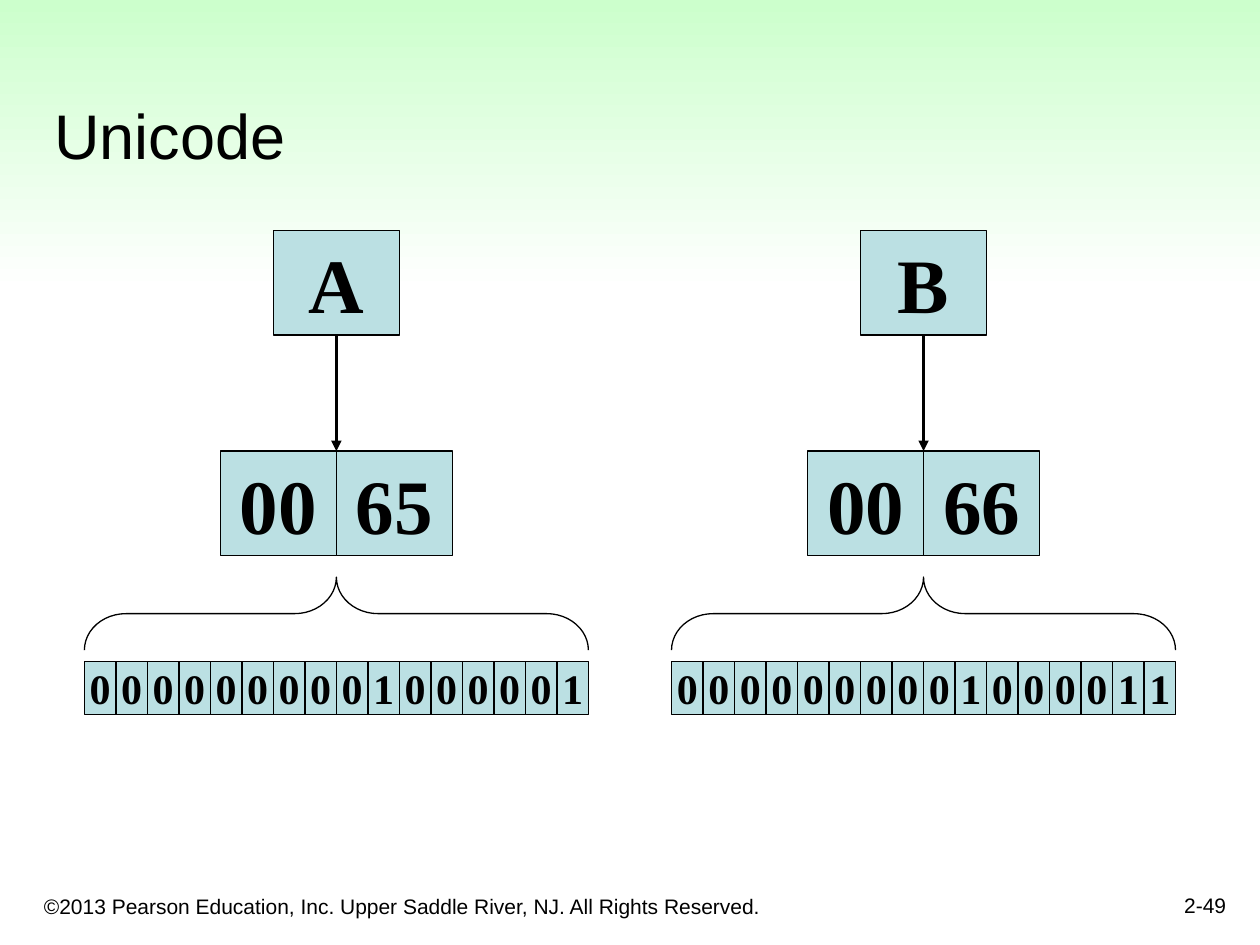
import dataclasses

import pptx
import pptx.dml.color
import pptx.enum.shapes
import pptx.enum.text
import pptx.oxml.ns
import pptx.util
from lxml import etree
from pptx.util import Inches

RGBColor = pptx.dml.color.RGBColor
Shape = pptx.enum.shapes.MSO_SHAPE
Anchor = pptx.enum.text.MSO_ANCHOR
Align = pptx.enum.text.PP_ALIGN

BLACK = RGBColor(0x00, 0x00, 0x00)
WHITE = RGBColor(0xFF, 0xFF, 0xFF)
PALE_GREEN = RGBColor(0xCC, 0xFF, 0xCC)
PALE_TEAL = RGBColor(0xBB, 0xE0, 0xE3)

CELL_HEIGHT = 0.83
LETTER_TOP, LETTER_WIDTH = 1.83, 1
BYTE_TOP, BYTE_WIDTH = 3.58, 0.92
BIT_TOP, BIT_WIDTH, BIT_HEIGHT = 5.25, 0.25, 0.42
BRACE_MIDDLE, BRACE_DEPTH = 4.87, 0.58


@dataclasses.dataclass
class Encoding:
    letter: str
    code_bytes: list[str]
    bits: str
    center: float


ENCODINGS = [
    Encoding("A", ["00", "65"], "0000000001000001", 2.67),
    Encoding("B", ["00", "66"], "0000000001000011", 7.33),
]


def format_text(box, size: float, font: str, align, anchor, bold: bool = False) -> None:
    frame = box.text_frame
    frame.auto_size = pptx.enum.text.MSO_AUTO_SIZE.NONE
    frame.vertical_anchor = anchor
    para = frame.paragraphs[0]
    para.alignment = align
    for span in para.runs:
        span.font.size = pptx.util.Pt(size)
        span.font.name = font
        span.font.bold = bold
        span.font.color.rgb = BLACK


def add_cell(page, text: str, left: float, top: float, width: float, height: float, size: float):
    box = page.shapes.add_shape(
        Shape.RECTANGLE, Inches(left), Inches(top), Inches(width), Inches(height))
    box.shadow.inherit = False
    box.fill.solid()
    box.fill.fore_color.rgb = PALE_TEAL
    box.line.color.rgb = BLACK
    box.line.width = pptx.util.Pt(0.75)
    box.text_frame.text = text
    box.text_frame.word_wrap = False
    format_text(box, size, "Times New Roman", Align.CENTER, Anchor.MIDDLE, bold=True)
    return box


def add_row(page, texts, center: float, top: float, width: float, height: float, size: float) -> None:
    left = center - len(texts) * width / 2
    for index, text in enumerate(texts):
        add_cell(page, text, left + index * width, top, width, height, size)


def add_arrow(page, letter_box, center: float) -> None:
    arrow = page.shapes.add_connector(
        pptx.enum.shapes.MSO_CONNECTOR.STRAIGHT,
        Inches(center), Inches(LETTER_TOP + CELL_HEIGHT), Inches(center), Inches(BYTE_TOP))
    arrow.begin_connect(letter_box, 2)
    arrow.line.color.rgb = BLACK
    arrow.line.width = pptx.util.Pt(1.5)
    qn = pptx.oxml.ns.qn
    etree.SubElement(arrow.line._get_or_add_ln(), qn("a:tailEnd"), type="triangle")
    etree.SubElement(arrow._element.spPr, qn("a:effectLst"))


def add_brace(page, center: float, length: float) -> None:
    brace = page.shapes.add_shape(
        Shape.RIGHT_BRACE, Inches(center - BRACE_DEPTH / 2), Inches(BRACE_MIDDLE - length / 2),
        Inches(BRACE_DEPTH), Inches(length))
    brace.rotation = 270
    brace.adjustments[0] = 0.57
    brace.shadow.inherit = False
    brace.fill.background()
    brace.line.color.rgb = BLACK
    brace.line.width = pptx.util.Pt(0.75)


def add_encoding(page, encoding: Encoding) -> None:
    center = encoding.center
    letter_box = add_cell(page, encoding.letter, center - LETTER_WIDTH / 2, LETTER_TOP,
                          LETTER_WIDTH, CELL_HEIGHT, 44)
    add_row(page, encoding.code_bytes, center, BYTE_TOP, BYTE_WIDTH, CELL_HEIGHT, 44)
    add_arrow(page, letter_box, center)
    add_row(page, encoding.bits, center, BIT_TOP, BIT_WIDTH, BIT_HEIGHT, 24)
    add_brace(page, center, len(encoding.bits) * BIT_WIDTH)


def add_footer(page, text: str, left: float, top: float, width: float, height: float, align) -> None:
    box = page.shapes.add_textbox(Inches(left), Inches(top), Inches(width), Inches(height))
    box.text_frame.word_wrap = True
    box.text_frame.text = text
    format_text(box, 12, "Arial", align, Anchor.BOTTOM)


def add_top_band(page) -> None:
    band = page.shapes.add_shape(Shape.RECTANGLE, 0, 0, Inches(10), Inches(2.32))
    band.shadow.inherit = False
    band.line.fill.background()
    band.fill.gradient()
    band.fill.gradient_angle = 270
    for stop, color in zip(band.fill.gradient_stops, (PALE_GREEN, WHITE)):
        stop.color.rgb = color
    # Send the band behind the title
    page.shapes._spTree.insert(2, band._element)


def main() -> None:
    deck = pptx.Presentation()
    deck.slide_width, deck.slide_height = Inches(10), Inches(7.5)
    page = deck.slides.add_slide(deck.slide_layouts.get_by_name("Title Only"))

    # Background and title
    add_top_band(page)
    title = page.shapes.title
    title.left, title.top = Inches(0.33), Inches(0.33)
    title.width, title.height = Inches(9.42), Inches(1.09)
    title.text_frame.text = "Unicode"
    format_text(title, 36, "Arial", Align.LEFT, Anchor.BOTTOM)

    # Letter, bytes and bits for each character
    for encoding in ENCODINGS:
        add_encoding(page, encoding)

    # Footer
    add_footer(page, "©2013 Pearson Education, Inc. Upper Saddle River, NJ. All Rights Reserved.",
               0.25, 6.92, 6.08, 0.42, Align.LEFT)
    add_footer(page, "2-49", 7.75, 6.83, 2.08, 0.5, Align.RIGHT)

    deck.save("out.pptx")


if __name__ == "__main__":
    main()
